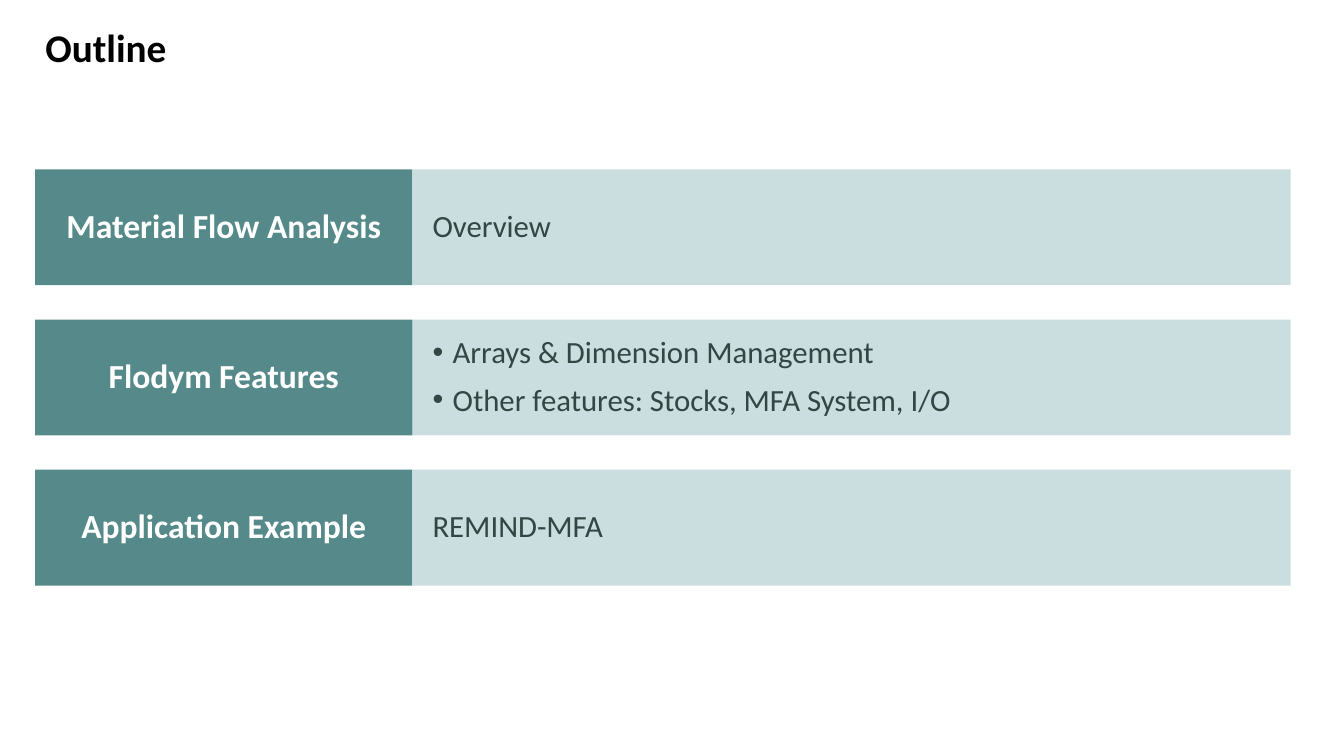
from dataclasses import dataclass

from lxml.etree import SubElement
from pptx import Presentation
from pptx.dml.color import RGBColor
from pptx.enum.shapes import MSO_SHAPE
from pptx.enum.text import MSO_ANCHOR, MSO_AUTO_SIZE, PP_ALIGN
from pptx.oxml.ns import qn
from pptx.shapes.base import BaseShape
from pptx.slide import Slide
from pptx.util import Emu, Pt

TEAL = RGBColor(0x55, 0x89, 0x8A)
PALE = RGBColor(0xCA, 0xDE, 0xDF)
DARK = RGBColor(0x33, 0x46, 0x44)
WHITE = RGBColor(0xFF, 0xFF, 0xFF)
BLACK = RGBColor(0, 0, 0)

LEFT, TOP, HIGH, STEP = 35, 168, 115, 149
SPLIT, RIGHT = 409, 1280
HANG = 20


@dataclass(frozen=True)
class Style:
    size: int
    color: RGBColor
    bold: bool
    align: PP_ALIGN
    pads: tuple[int, int, int, int]
    fill: RGBColor | None = None


@dataclass(frozen=True)
class Topic:
    name: str
    items: tuple[str, ...]


HEAD = Style(28, BLACK, True, PP_ALIGN.LEFT, (10, 5, 10, 5))
LABEL = Style(24, WHITE, True, PP_ALIGN.CENTER, (12, 5, 12, 5), TEAL)
DETAIL = Style(22, DARK, False, PP_ALIGN.LEFT, (20, 4, 10, 4), PALE)

TOPICS = (
    Topic("Material Flow Analysis", ("Overview",)),
    Topic("Flodym Features", ("Arrays & Dimension Management",
                              "Other features: Stocks, MFA System, I/O")),
    Topic("Application Example", ("REMIND-MFA",)),
)


def px(count: int) -> Emu:
    return Emu(count * 9144)


def place(shape: BaseShape, left: int, top: int, width: int, height: int) -> None:
    shape.left, shape.top = px(left), px(top)
    shape.width, shape.height = px(width), px(height)


def write(shape: BaseShape, lines: tuple[str, ...], style: Style) -> None:
    if style.fill is not None:
        shape.fill.solid()
        shape.fill.fore_color.rgb = style.fill
        shape.line.fill.background()
    frame = shape.text_frame
    frame.text = "\n".join(lines)
    frame.word_wrap = True
    frame.auto_size = MSO_AUTO_SIZE.NONE
    frame.vertical_anchor = MSO_ANCHOR.MIDDLE
    (frame.margin_left, frame.margin_top,
     frame.margin_right, frame.margin_bottom) = map(px, style.pads)
    for index, para in enumerate(frame.paragraphs):
        para.alignment = style.align
        para.line_spacing = 0.9
        para.space_before = Pt(10 if index else 0)
        if len(lines) > 1:
            props = para._p.get_or_add_pPr()
            props.set("marL", str(px(HANG)))
            props.set("indent", str(-px(HANG)))
            SubElement(props, qn("a:buFont"), typeface="Arial")
            SubElement(props, qn("a:buChar"), char="•")
        font = para.font
        font.name = "Calibri"
        font.size = Pt(style.size)
        font.bold = style.bold
        font.color.rgb = style.color


def block(slide: Slide) -> BaseShape:
    shape = slide.shapes.add_shape(MSO_SHAPE.RECTANGLE, 0, 0, 0, 0)
    shape.shadow.inherit = False
    return shape


def draw(slide: Slide, topic: Topic, top: int) -> None:
    label = block(slide)
    place(label, LEFT, top, SPLIT - LEFT, HIGH)
    write(label, (topic.name,), LABEL)
    detail = slide.placeholders[1] if len(topic.items) > 1 else block(slide)
    place(detail, SPLIT, top, RIGHT - SPLIT, HIGH)
    write(detail, topic.items, DETAIL)


def main() -> None:
    deck = Presentation()
    deck.slide_width, deck.slide_height = px(1333), px(750)
    slide = deck.slides.add_slide(deck.slide_layouts[1])
    title = slide.shapes.title
    place(title, LEFT, -1, 1217, 101)
    write(title, ("Outline",), HEAD)
    for row, topic in enumerate(TOPICS):
        draw(slide, topic, TOP + row * STEP)
    deck.save("out.pptx")


if __name__ == "__main__":
    main()
